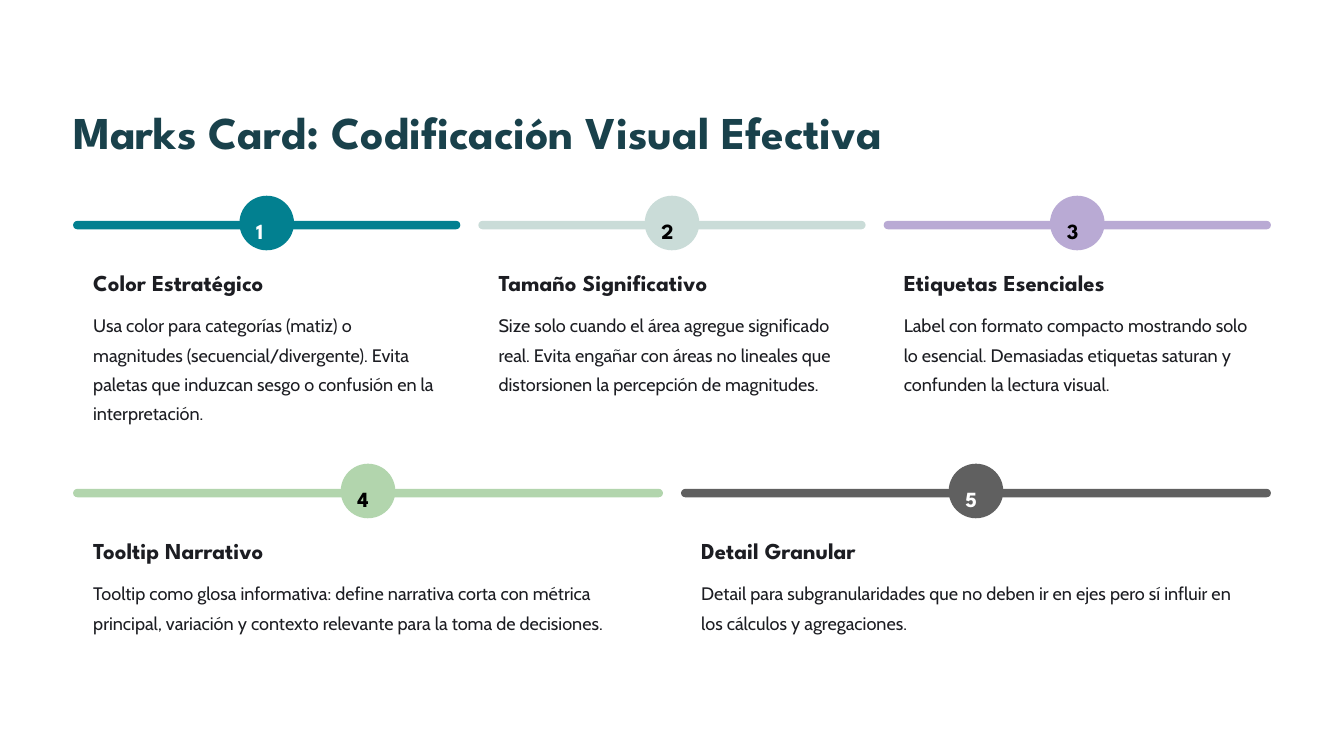
from pptx import Presentation
from pptx.dml.color import RGBColor
from pptx.enum.shapes import MSO_SHAPE
from pptx.util import Inches, Pt

LEFT, WIDTH, GAP = 0.87, 14.26, 0.215
INK = "1C1D22"
TITLE = {"size": Pt(39), "name": "League Spartan", "bold": True}
NUMBER = {"size": Pt(18.5), "name": "League Spartan", "bold": True}
HEADING = {"size": Pt(19.5), "name": "League Spartan", "bold": True}
BODY = {"size": Pt(15.5), "name": "Cabin", "bold": False}

ROWS = [
    (2.65, 2.64, [
        ("1", "028090", "FFFFFF", "Color Estratégico",
         "Usa color para categorías (matiz) o magnitudes (secuencial/divergente). "
         "Evita paletas que induzcan sesgo o confusión en la interpretación."),
        ("2", "CADCD8", "000000", "Tamaño Significativo",
         "Size solo cuando el área agregue significado real. Evita engañar con "
         "áreas no lineales que distorsionen la percepción de magnitudes."),
        ("3", "B9AAD4", "000000", "Etiquetas Esenciales",
         "Label con formato compacto mostrando solo lo esencial. Demasiadas "
         "etiquetas saturan y confunden la lectura visual."),
    ]),
    (5.84, 1.95, [
        ("4", "B2D5AD", "000000", "Tooltip Narrativo",
         "Tooltip como glosa informativa: define narrativa corta con métrica "
         "principal, variación y contexto relevante para la toma de decisiones."),
        ("5", "606060", "FFFFFF", "Detail Granular",
         "Detail para subgranularidades que no deben ir en ejes pero sí influir "
         "en los cálculos y agregaciones."),
    ]),
]


def color(value):
    return RGBColor.from_string(value)


def add_round(s, x, y, w, h, fill, radius):
    sp = s.shapes.add_shape(MSO_SHAPE.ROUNDED_RECTANGLE,
                            Inches(x), Inches(y), Inches(w), Inches(h))
    sp.adjustments[0] = radius
    sp.shadow.inherit = False
    sp.fill.solid()
    sp.fill.fore_color.rgb = color(fill)
    sp.line.fill.background()


def add_text(s, x, y, w, h, text, style, ink, spacing, wrap=False):
    tf = s.shapes.add_textbox(Inches(x), Inches(y), Inches(w), Inches(h)).text_frame
    frame = {"margin_left": 0, "margin_top": 0, "margin_right": 0,
             "margin_bottom": 0, "word_wrap": wrap}
    for key, value in frame.items():
        setattr(tf, key, value)
    p = tf.paragraphs[0]
    p.line_spacing = Pt(spacing)
    r = p.add_run()
    r.text = text
    for key, value in style.items():
        setattr(r.font, key, value)
    r.font.color.rgb = color(ink)


def add_card(s, x, y, w, h, item):
    number, accent, number_ink, heading, body = item
    badge = 0.65
    badge_x = x + (w - badge) / 2
    add_round(s, x, y, w, h, "FFFFFF", 0.12 / h)
    add_round(s, x, y - 0.02, w, 0.1, accent, 0.5)
    add_round(s, badge_x, y - 0.32, badge, badge, accent, 0.5)
    add_text(s, badge_x + 0.2, y - 0.16, 0.26, 0.33, number, NUMBER, number_ink, 30)
    add_text(s, x + 0.24, y + 0.54, 2.71, 0.34, heading, HEADING, INK, 24)
    add_text(s, x + 0.24, y + 1.01, w - 0.48, h - 1.25, body, BODY, INK, 25, wrap=True)


def add_row(s, x, y, w, h, items):
    card_w = (w - GAP * (len(items) - 1)) / len(items)
    for i, item in enumerate(items):
        add_card(s, x + i * (card_w + GAP), y, card_w, h, item)


def main():
    prs = Presentation()
    prs.slide_width, prs.slide_height = Inches(16), Inches(9)
    s = prs.slides.add_slide(prs.slide_layouts[6])
    s.background.fill.solid()
    s.background.fill.fore_color.rgb = color("FFFFFF")
    add_text(s, LEFT, 1.21, 10.31, 0.68, "Marks Card: Codificación Visual Efectiva",
             TITLE, "19414B", 48.5)
    for y, h, items in ROWS:
        add_row(s, LEFT, y, WIDTH, h, items)
    prs.save("out.pptx")


if __name__ == "__main__":
    main()
